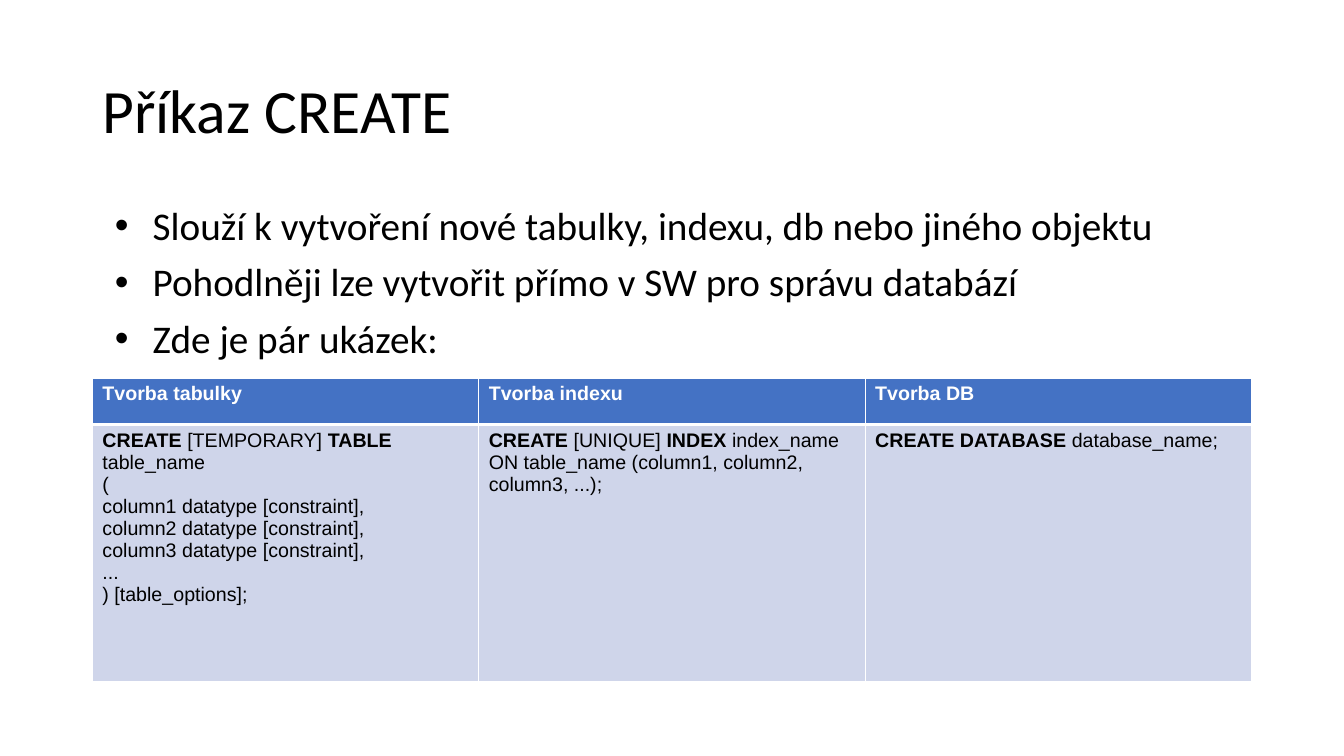
from dataclasses import dataclass

from lxml.etree import SubElement
from pptx import Presentation
from pptx.dml.color import RGBColor
from pptx.enum.text import MSO_ANCHOR, MSO_AUTO_SIZE, PP_ALIGN
from pptx.oxml.ns import qn
from pptx.util import Pt

BLACK = RGBColor(0x00, 0x00, 0x00)
WHITE = RGBColor(0xFF, 0xFF, 0xFF)
HEADER_BLUE = RGBColor(0x44, 0x72, 0xC4)
PALE_BLUE = RGBColor(0xCF, 0xD5, 0xEA)

LEFT, WIDTH = 66, 828
HEADER_HEIGHT, CODE_HEIGHT = 33.2, 183.6


@dataclass(frozen=True)
class Span:
    text: str
    bold: bool = False


@dataclass(frozen=True)
class Example:
    heading: str
    lines: list[list[Span]]


POINTS = [
    "Slouží k vytvoření nové tabulky, indexu, db nebo jiného objektu",
    "Pohodlněji lze vytvořit přímo v SW pro správu databází",
    "Zde je pár ukázek:",
]

EXAMPLES = [
    Example("Tvorba tabulky", [
        [Span("CREATE", True), Span(" [TEMPORARY] "), Span("TABLE ", True), Span("table_name")],
        [Span("(")],
        *[[Span(f"column{number} datatype [constraint],")] for number in range(1, 4)],
        [Span("...")],
        [Span(") [table_options];")],
    ]),
    Example("Tvorba indexu", [
        [Span("CREATE", True), Span(" [UNIQUE] "), Span("INDEX ", True), Span("index_name")],
        [Span("ON table_name (column1, column2, column3, ...);")],
    ]),
    Example("Tvorba DB", [
        [Span("CREATE DATABASE ", True), Span("database_name;")],
    ]),
]


def add_run(paragraph, span: Span, font_name: str, size: float, color: RGBColor) -> None:
    run = paragraph.add_run()
    run.text = span.text
    run.font.name = font_name
    run.font.size = Pt(size)
    run.font.bold = span.bold
    run.font.color.rgb = color


def set_frame(frame, anchor: MSO_ANCHOR) -> None:
    frame.word_wrap = True
    frame.auto_size = MSO_AUTO_SIZE.NONE
    frame.vertical_anchor = anchor
    frame.margin_left = frame.margin_right = Pt(7.2)
    frame.margin_top = frame.margin_bottom = Pt(3.6)


def add_bullet(paragraph) -> None:
    properties = paragraph._p.get_or_add_pPr()
    properties.set("marL", str(Pt(36)))
    properties.set("indent", str(-Pt(27)))
    color = SubElement(properties, qn("a:buClr"))
    SubElement(color, qn("a:srgbClr"), val=str(BLACK))
    SubElement(properties, qn("a:buFont"), typeface="Arial")
    SubElement(properties, qn("a:buChar"), char="•")


def set_borders(cell, widths: dict[str, float]) -> None:
    properties = cell._tc.get_or_add_tcPr()
    for position, (side, width) in enumerate(widths.items()):
        line = SubElement(properties, qn(f"a:ln{side}"), w=str(Pt(width)))
        properties.insert(position, line)
        fill = SubElement(line, qn("a:solidFill"))
        SubElement(fill, qn("a:srgbClr"), val=str(WHITE))


def fill_cell(cell, lines: list[list[Span]], fill: RGBColor, color: RGBColor,
              top: float, bottom: float) -> None:
    cell.fill.solid()
    cell.fill.fore_color.rgb = fill
    set_borders(cell, {"L": 1, "R": 1, "T": top, "B": bottom})
    frame = cell.text_frame
    for number, line in enumerate(lines):
        paragraph = frame.add_paragraph() if number else frame.paragraphs[0]
        for span in line:
            add_run(paragraph, span, "Arial", 14, color)


def add_title(slide) -> None:
    title = slide.shapes.title
    title.left, title.top, title.width, title.height = Pt(LEFT), Pt(28.8), Pt(WIDTH), Pt(104.4)
    set_frame(title.text_frame, MSO_ANCHOR.MIDDLE)
    paragraph = title.text_frame.paragraphs[0]
    paragraph.alignment = PP_ALIGN.LEFT
    paragraph.line_spacing = 0.9
    add_run(paragraph, Span("Příkaz CREATE"), "Calibri", 44, BLACK)


def add_points(slide) -> None:
    box = slide.shapes.add_textbox(Pt(LEFT), Pt(144), Pt(WIDTH), Pt(342.7))
    frame = box.text_frame
    set_frame(frame, MSO_ANCHOR.TOP)
    for number, point in enumerate(POINTS):
        paragraph = frame.add_paragraph() if number else frame.paragraphs[0]
        add_bullet(paragraph)
        paragraph.line_spacing = 0.9
        paragraph.space_before = Pt(10 if number else 0)
        add_run(paragraph, Span(point), "Calibri", 28, BLACK)


def add_examples(slide) -> None:
    table = slide.shapes.add_table(
        2, len(EXAMPLES), Pt(LEFT), Pt(270), Pt(WIDTH), Pt(HEADER_HEIGHT + CODE_HEIGHT)
    ).table
    table.rows[0].height = Pt(HEADER_HEIGHT)
    table.rows[1].height = Pt(CODE_HEIGHT)
    for column, example in enumerate(EXAMPLES):
        table.columns[column].width = Pt(WIDTH / len(EXAMPLES))
        heading = [[Span(example.heading, True)]]
        fill_cell(table.cell(0, column), heading, HEADER_BLUE, WHITE, top=1, bottom=3)
        fill_cell(table.cell(1, column), example.lines, PALE_BLUE, BLACK, top=3, bottom=1)


def main() -> None:
    deck = Presentation()
    deck.slide_width, deck.slide_height = Pt(960), Pt(540)
    slide = deck.slides.add_slide(deck.slide_layouts[5])
    slide.background.fill.solid()
    slide.background.fill.fore_color.rgb = WHITE

    # Heading, explanation and syntax examples
    add_title(slide)
    add_points(slide)
    add_examples(slide)
    deck.save("out.pptx")


if __name__ == "__main__":
    main()
